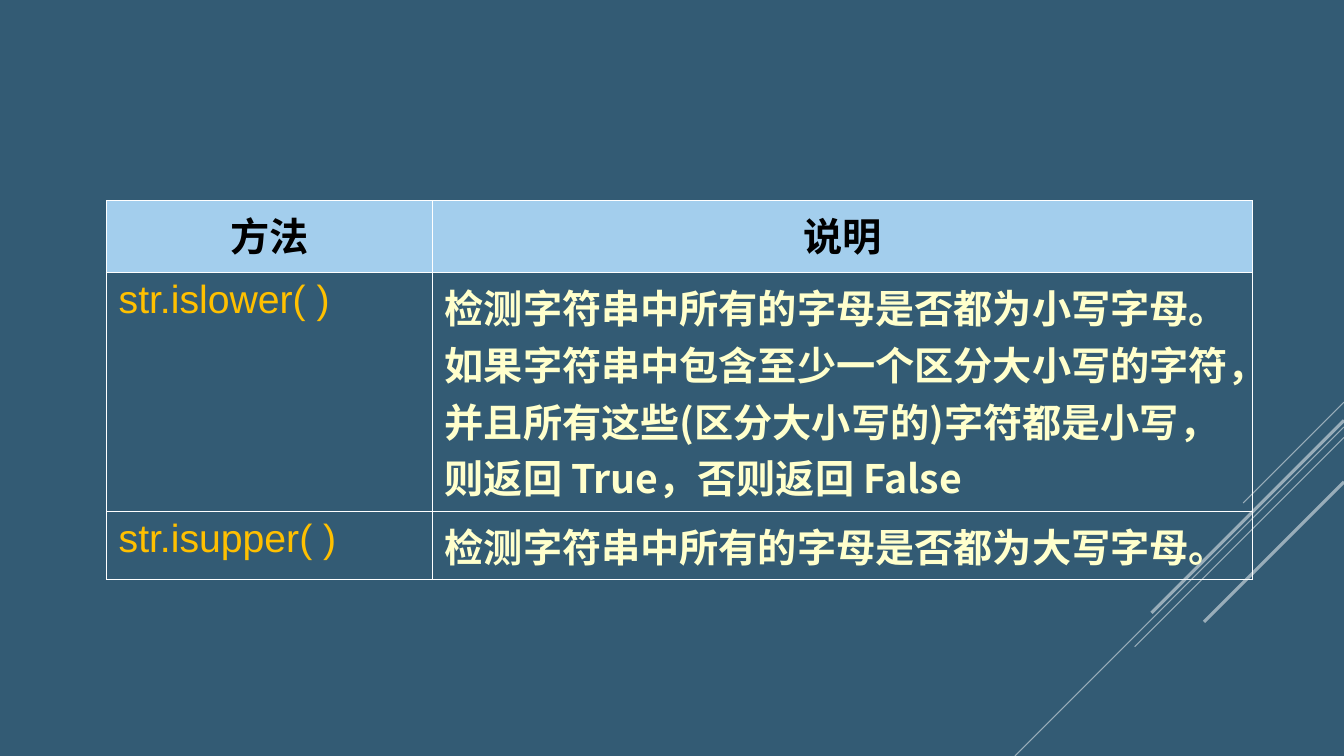
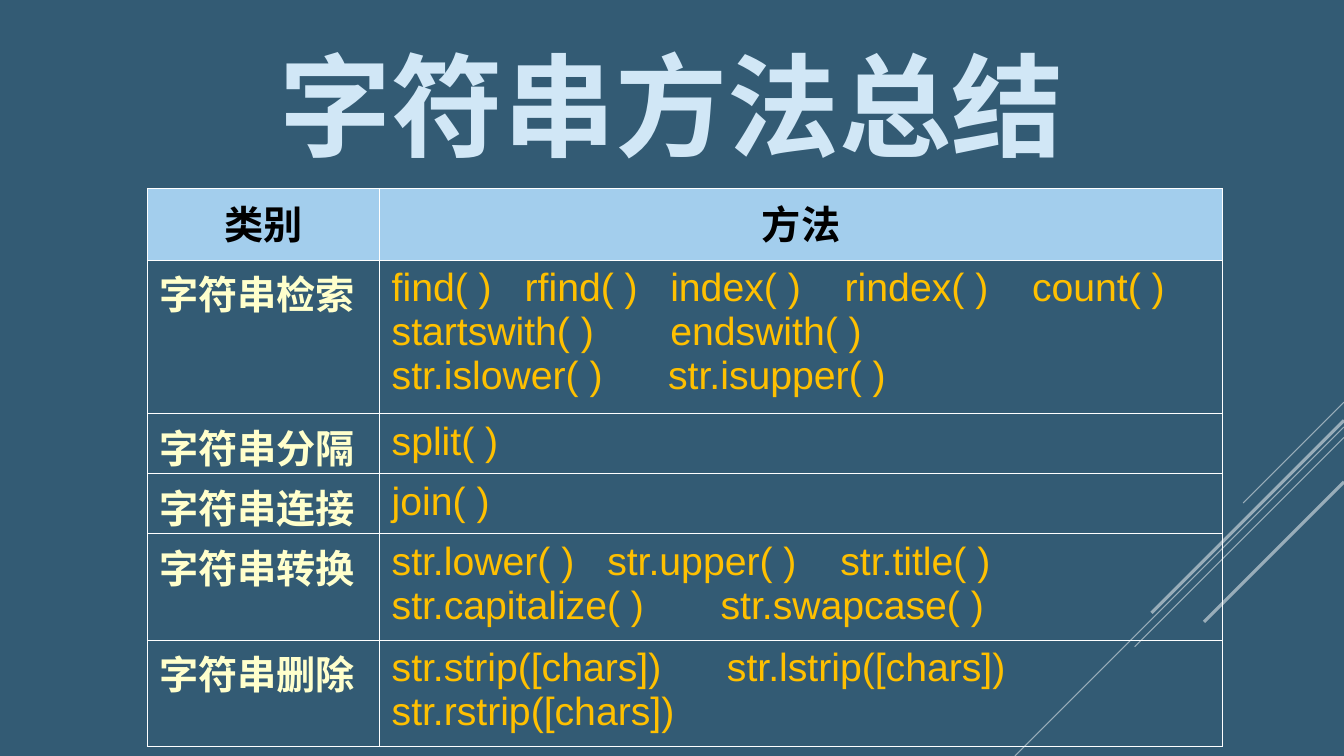
from lxml.etree import SubElement
from pptx import Presentation
from pptx.dml.color import RGBColor
from pptx.enum.shapes import MSO_CONNECTOR
from pptx.enum.text import MSO_ANCHOR, PP_ALIGN
from pptx.oxml.ns import qn
from pptx.util import Pt

BACKGROUND = RGBColor(0x33, 0x5B, 0x74)
WHITE = RGBColor(0xFF, 0xFF, 0xFF)
BLACK = RGBColor(0x00, 0x00, 0x00)
HEADER_BLUE = RGBColor(0xA3, 0xCE, 0xED)
TITLE_BLUE = RGBColor(0xD1, 0xE7, 0xF6)
AMBER = RGBColor(0xFF, 0xC0, 0x00)
CREAM = RGBColor(0xFF, 0xFF, 0xCC)

SLIDE_WIDTH, SLIDE_HEIGHT = 960, 540
CHINESE_FONT = "Noto Sans CJK SC"
CODE_FONT = "Arial"

HEADER = {"color": BLACK, "bold": True, "align": PP_ALIGN.CENTER}
CHINESE = {"color": CREAM, "bold": True}
CODE = {"color": AMBER, "font": CODE_FONT}

# Start height on the right edge, reach to the lower left, line width
DIAGONALS = [
    (287.3, 72, 0.75),
    (305, 235, 0.75),
    (312.5, 149.5, 0.75),
    (300.3, 137.5, 2.25),
    (344.2, 100, 2.25),
]

ISLOWER_TEXT = (
    "检测字符串中所有的字母是否都为小写字母。如果字符串中包含至少一个区分大小写的字符，"
    "并且所有这些(区分大小写的)字符都是小写，则返回 True，否则返回 False"
)

# Each line of methods is a list of names and the tab stops between them
METHOD_GROUPS = [
    ("字符串检索", [
        (["find( )", "rfind( )", "index( )", "rindex( )", "count( )"],
         [95, 199, 323.6, 457.4]),
        (["startswith( )", "endswith( )"], [199]),
        (["str.islower( )", "str.isupper( )"], [197.5]),
    ]),
    ("字符串分隔", [(["split( )"], [])]),
    ("字符串连接", [(["join( )"], [])]),
    ("字符串转换", [
        (["str.lower( )", "str.upper( )", "str.title( )"], [154, 320.5]),
        (["str.capitalize( )", "str.swapcase( )"], [235]),
    ]),
    ("字符串删除", [
        (["str.strip([chars])", "str.lstrip([chars])"], [239.5]),
        (["str.rstrip([chars])"], []),
    ]),
]


def write_text(paragraph, text, color, size=28, font=CHINESE_FONT, bold=False,
               align=PP_ALIGN.LEFT, tabs=()):
    paragraph.alignment = align
    if tabs:
        tab_list = SubElement(paragraph._p.get_or_add_pPr(), qn("a:tabLst"))
        for position in tabs:
            SubElement(tab_list, qn("a:tab"), pos=str(Pt(position)), algn="l")
    run = paragraph.add_run()
    run.text = text
    run.font.size = Pt(size)
    run.font.bold = bold
    run.font.color.rgb = color
    run.font.name = font
    properties = run._r.get_or_add_rPr()
    properties.set("lang", "zh-CN")
    SubElement(properties, qn("a:ea"), typeface=font)


def add_diagonals(slide):
    for top, reach, width in DIAGONALS:
        line = slide.shapes.add_connector(
            MSO_CONNECTOR.STRAIGHT, Pt(SLIDE_WIDTH), Pt(top),
            Pt(SLIDE_WIDTH - reach), Pt(top + reach))
        line.line.width = Pt(width)
        line.line.color.rgb = WHITE
        color = line.line._ln.find(qn("a:solidFill"))[0]
        SubElement(color, qn("a:alpha"), val="50000")
        SubElement(line._element.spPr, qn("a:effectLst"))


def add_slide(presentation):
    slide = presentation.slides.add_slide(presentation.slide_layouts[6])
    add_diagonals(slide)
    return slide


def add_title(slide, text):
    box = slide.shapes.add_textbox(Pt(36.7), Pt(21.6), Pt(885.6), Pt(104.4))
    frame = box.text_frame
    frame.word_wrap = True
    frame.vertical_anchor = MSO_ANCHOR.MIDDLE
    write_text(frame.paragraphs[0], text, size=80, color=TITLE_BLUE, bold=True,
               align=PP_ALIGN.CENTER)


def style_cell(cell, fill=None):
    """Set margins, thin white borders and an optional fill."""
    cell.margin_left = cell.margin_right = Pt(8.6)
    cell.margin_top = cell.margin_bottom = Pt(4.3)
    properties = cell._tc.get_or_add_tcPr()
    for side in ("lnL", "lnR", "lnT", "lnB"):
        border = SubElement(properties, qn(f"a:{side}"), w=str(Pt(0.75)))
        solid = SubElement(border, qn("a:solidFill"))
        SubElement(solid, qn("a:srgbClr"), val=str(WHITE))
    if fill is None:
        cell.fill.background()
    else:
        cell.fill.solid()
        cell.fill.fore_color.rgb = fill


def add_table(slide, left, top, widths, heights, headings):
    """Add a styled table with its heading row written."""
    table = slide.shapes.add_table(
        len(heights), len(widths), Pt(left), Pt(top),
        Pt(sum(widths)), Pt(sum(heights))).table
    table.horz_banding = False
    for column, width in zip(table.columns, widths):
        column.width = Pt(width)
    for index, height in enumerate(heights):
        table.rows[index].height = Pt(height)
        for cell in table.rows[index].cells:
            style_cell(cell, HEADER_BLUE if index == 0 else None)
    for cell, heading in zip(table.rows[0].cells, headings):
        write_text(cell.text_frame.paragraphs[0], heading, **HEADER)
    return table


def write_method_lines(cell, lines):
    frame = cell.text_frame
    for index, (names, tabs) in enumerate(lines):
        paragraph = frame.add_paragraph() if index else frame.paragraphs[0]
        write_text(paragraph, "\t".join(names), tabs=tabs, **CODE)


def add_case_slide(presentation):
    slide = add_slide(presentation)
    table = add_table(slide, 76.2, 143.3, [233, 585.5], [51.4, 170, 49],
                      ["方法", "说明"])
    rows = [
        ("str.islower( )", ISLOWER_TEXT),
        ("str.isupper( )", "检测字符串中所有的字母是否都为大写字母。"),
    ]
    for index, (method, description) in enumerate(rows, start=1):
        method_cell, description_cell = table.rows[index].cells
        write_text(method_cell.text_frame.paragraphs[0], method, **CODE)
        write_text(description_cell.text_frame.paragraphs[0], description, **CHINESE)


def add_summary_slide(presentation):
    slide = add_slide(presentation)
    add_title(slide, "字符串方法总结")
    table = add_table(slide, 105.2, 134.6, [166, 602],
                      [51.4, 109, 43, 43, 75, 75], ["类别", "方法"])
    for index, (category, lines) in enumerate(METHOD_GROUPS, start=1):
        category_cell, method_cell = table.rows[index].cells
        category_cell.margin_top = Pt(3)
        category_cell.margin_bottom = 0
        write_text(category_cell.text_frame.paragraphs[0], category, **CHINESE)
        write_method_lines(method_cell, lines)


def main():
    presentation = Presentation()
    presentation.slide_width = Pt(SLIDE_WIDTH)
    presentation.slide_height = Pt(SLIDE_HEIGHT)
    background = presentation.slide_master.background.fill
    background.solid()
    background.fore_color.rgb = BACKGROUND
    add_case_slide(presentation)
    add_summary_slide(presentation)
    presentation.save("out.pptx")


if __name__ == "__main__":
    main()
